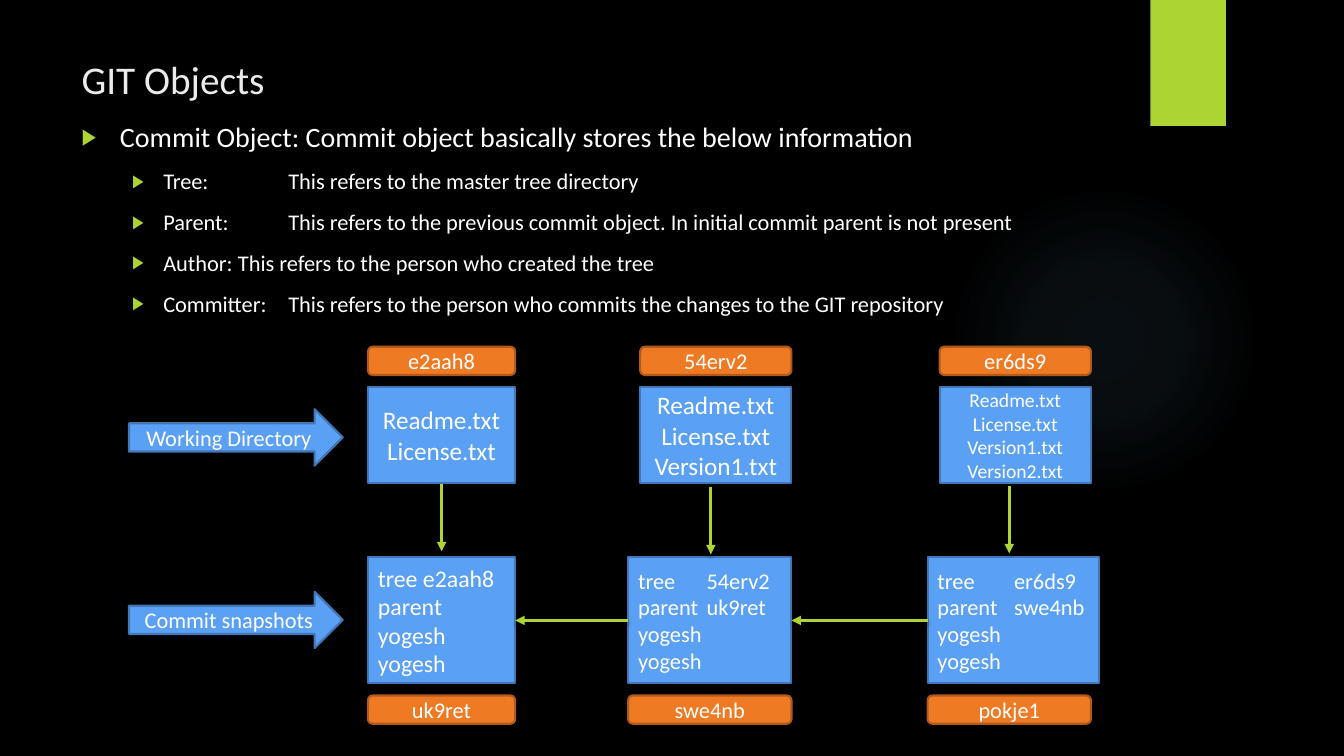
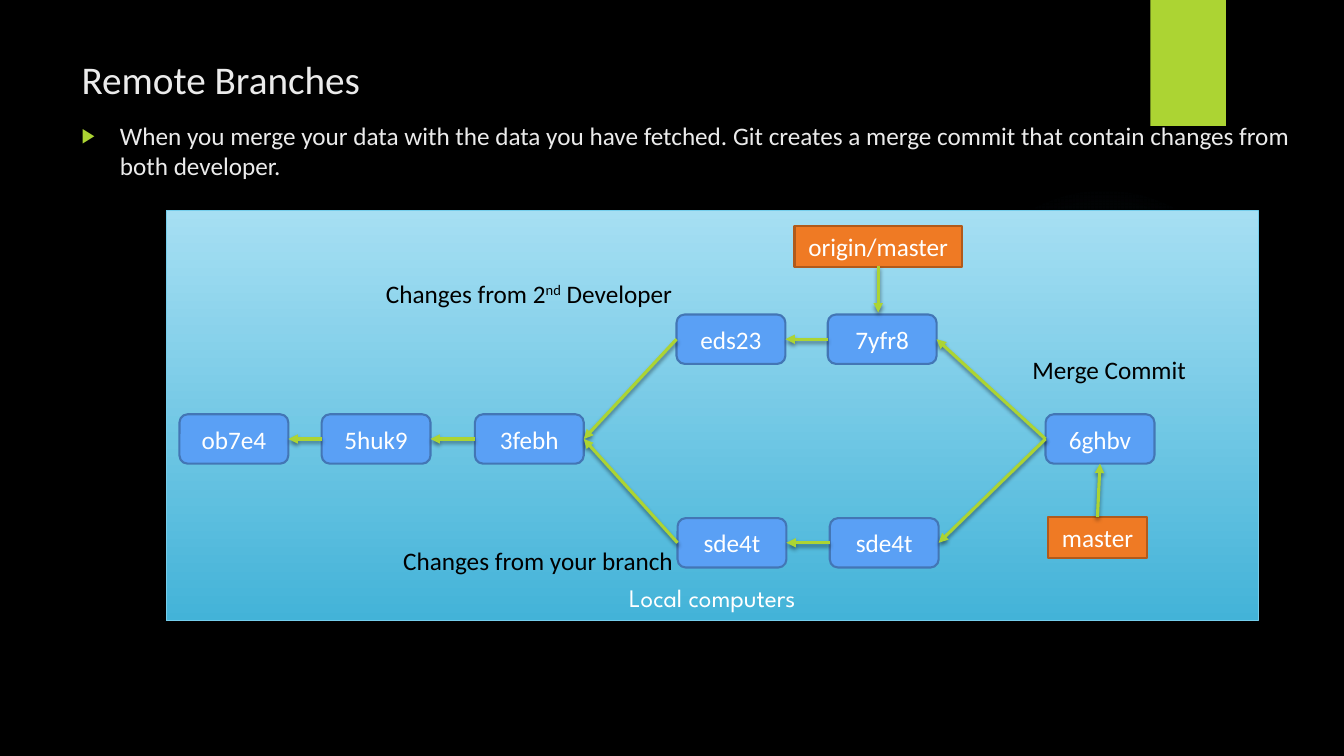
from dataclasses import dataclass
from typing import Optional

from lxml import etree
from pptx import Presentation
from pptx.dml.color import RGBColor
from pptx.enum.shapes import MSO_CONNECTOR, MSO_SHAPE as Preset
from pptx.enum.text import MSO_ANCHOR as Anchor, MSO_AUTO_SIZE as Fit, PP_ALIGN as Align
from pptx.oxml import parse_xml
from pptx.oxml.ns import nsdecls, qn
from pptx.util import Inches, Pt

COLORS = {
    "background": "000000", "accent": "ACD433", "glow": "7AC4F0",
    "blue": "5AA0F5", "blue_edge": "4376B5",
    "orange": "EF7A24", "orange_edge": "B15A1B",
    "panel_top": "A6DFF3", "panel_bottom": "43B3D8", "panel_edge": "75CEEC",
    "white": "FFFFFF", "soft_white": "EBEBEB", "black": "000000",
}
FONT = "Calibri"
LEFT_SITE, RIGHT_SITE, TOP_SITE, BOTTOM_SITE = 1, 3, 0, 2


@dataclass
class Block:
    text: str
    left: float
    top: float
    width: float
    height: float
    size: int = 16
    preset: Preset = Preset.RECTANGLE
    tone: str = "blue"
    align: Align = Align.CENTER
    tab: Optional[float] = None


@dataclass
class Stage:
    """One commit: its files, its tree hash and the snapshot that records it."""
    tree: str
    files: str
    files_size: int
    files_left: float
    files_width: float
    snapshot: str
    snapshot_size: int
    snapshot_left: float
    snapshot_width: float
    commit: str
    commit_width: float
    arrow_x: float
    arrow_top: float
    tab: Optional[float] = None


def rgb(name: str) -> RGBColor:
    return RGBColor.from_string(COLORS[name])


def apply(target, **values) -> None:
    for name, value in values.items():
        setattr(target, name, value)


def place(shape, left: float, top: float, width: float, height: float) -> None:
    apply(shape, left=Inches(left), top=Inches(top), width=Inches(width), height=Inches(height))


def add_run(paragraph, text: str, size: int, color: str, font: str = FONT):
    run = paragraph.add_run()
    run.text = text
    apply(run.font, name=font, size=Pt(size))
    run.font.color.rgb = rgb(color)
    return run


def write_lines(frame, text: str, size: int, color: str, align: Align = Align.LEFT,
                font: str = FONT) -> list:
    paragraphs = []
    for index, line in enumerate(text.split("\n")):
        paragraph = frame.add_paragraph() if index else frame.paragraphs[0]
        paragraph.alignment = align
        add_run(paragraph, line, size, color, font)
        paragraphs.append(paragraph)
    return paragraphs


def cast_shadow(shape) -> None:
    properties = shape.element.spPr
    effects = properties.find(qn("a:effectLst"))
    if effects is None:
        effects = etree.SubElement(properties, qn("a:effectLst"))
    shadow = etree.SubElement(effects, qn("a:outerShdw"), blurRad=str(Pt(3)),
                              dist=str(Pt(2)), dir="5400000", rotWithShape="0")
    shade = etree.SubElement(shadow, qn("a:srgbClr"), val=COLORS["black"])
    etree.SubElement(shade, qn("a:alpha"), val="45000")


def add_plain(slide, preset: Preset, left: float, top: float, width: float, height: float):
    shape = slide.shapes.add_shape(preset, *map(Inches, (left, top, width, height)))
    shape.shadow.inherit = False
    return shape


def draw_block(slide, block: Block):
    shape = add_plain(slide, block.preset, block.left, block.top, block.width, block.height)
    shape.fill.solid()
    shape.fill.fore_color.rgb = rgb(block.tone)
    shape.line.color.rgb = rgb(block.tone + "_edge")
    shape.line.width = Pt(1.5)
    apply(shape.text_frame, word_wrap=True, vertical_anchor=Anchor.MIDDLE)
    for paragraph in write_lines(shape.text_frame, block.text, block.size, "white", block.align):
        if block.tab:
            tabs = etree.SubElement(paragraph._p.get_or_add_pPr(), qn("a:tabLst"))
            etree.SubElement(tabs, qn("a:tab"), pos=str(Inches(block.tab)), algn="l")
    return shape


def draw_arrow(slide, start: tuple[float, float], end: tuple[float, float]):
    arrow = slide.shapes.add_connector(MSO_CONNECTOR.STRAIGHT, *map(Inches, start + end))
    arrow.line.color.rgb = rgb("accent")
    arrow.line.width = Pt(2.25)
    etree.SubElement(arrow.line._get_or_add_ln(), qn("a:tailEnd"), type="triangle")
    cast_shadow(arrow)
    return arrow


def link(slide, source, target, source_site: int = LEFT_SITE, target_site: int = RIGHT_SITE) -> None:
    arrow = draw_arrow(slide, (0, 0), (1, 1))
    arrow.begin_connect(source, source_site)
    arrow.end_connect(target, target_site)


def decorate_layout(slide, layout) -> None:
    """Move the glow and the corner band behind the layout's placeholders."""
    glow = add_plain(slide, Preset.OVAL, 9.41, 1.83, 3.08, 3.08)
    glow.line.fill.background()
    stops = "".join(
        f'<a:gs pos="{pos}000"><a:srgbClr val="{COLORS["glow"]}">'
        f'<a:alpha val="{alpha}000"/></a:srgbClr></a:gs>'
        for pos, alpha in ((0, 7), (36, 6), (69, 0)))
    glow.element.spPr.insert(2, parse_xml(
        f'<a:gradFill {nsdecls("a")} rotWithShape="1"><a:gsLst>{stops}</a:gsLst>'
        '<a:path path="circle"><a:fillToRect l="50000" t="50000" r="50000" b="50000"/>'
        '</a:path></a:gradFill>'))
    band = add_plain(slide, Preset.RECTANGLE, 11.41, 0, 0.75, 1.25)
    band.fill.solid()
    band.fill.fore_color.rgb = rgb("accent")
    band.line.fill.background()
    cast_shadow(band)
    for offset, part in enumerate((glow, band)):
        part.element.xpath(".//p:cNvPr")[0].set("id", str(50 + offset))
        layout.shapes.element.insert(2 + offset, part.element)


def add_topic(deck, title: str, bullets: list[tuple[int, int, str]], color: str,
              body_height: float):
    """Add a slide with its title and (level, size, text) bullets."""
    slide = deck.slides.add_slide(deck.slide_layouts[1])
    heading, body = slide.shapes.title, slide.placeholders[1]
    place(heading, 0.71, 0.5, 10.29, 0.65)
    place(body, 0.71, 1.14, 12.38, body_height)
    for holder in (heading, body):
        apply(holder.text_frame, word_wrap=True, auto_size=Fit.NONE, vertical_anchor=Anchor.TOP)
    write_lines(heading.text_frame, title, 28, "soft_white")
    for index, (level, size, text) in enumerate(bullets):
        item = body.text_frame.add_paragraph() if index else body.text_frame.paragraphs[0]
        apply(item, level=level, space_before=Pt(10), alignment=Align.LEFT)
        add_run(item, text, size, color)
        margin, indent = ((0.38, -0.38), (0.81, -0.31))[level]
        properties = item._p.get_or_add_pPr()
        properties.set("marL", str(Inches(margin)))
        properties.set("indent", str(Inches(indent)))
        bullet_color = etree.SubElement(properties, qn("a:buClr"))
        etree.SubElement(bullet_color, qn("a:srgbClr"), val=COLORS["accent"])
        etree.SubElement(properties, qn("a:buSzPct"), val="80000")
        etree.SubElement(properties, qn("a:buChar"), char="▶")
    return slide


def build_git_objects(deck):
    slide = add_topic(deck, "GIT Objects", [
        (0, 20, "Commit Object: Commit object basically stores the below information"),
        (1, 16, "Tree: \t\t This refers to the master tree directory"),
        (1, 16, "Parent:\t\t This refers to the previous commit object. "
                "In initial commit parent is not present"),
        (1, 16, "Author:\t This refers to the person who created the tree"),
        (1, 16, "Committer: \t This refers to the person who commits the changes "
                "to the GIT repository"),
    ], "white", 6.12)
    stages = [
        Stage("e2aah8", "Readme.txt\nLicense.txt", 18, 3.65, 1.46,
              "tree e2aah8\nparent\nyogesh\nyogesh", 17, 3.65, 1.46,
              "uk9ret", 1.46, 4.38, 4.8),
        Stage("54erv2", "Readme.txt\nLicense.txt\nVersion1.txt", 18, 6.35, 1.5,
              "tree\t54erv2\nparent\tuk9ret\nyogesh\nyogesh", 16, 6.23, 1.62,
              "swe4nb", 1.62, 7.05, 4.83, 0.68),
        Stage("er6ds9", "Readme.txt\nLicense.txt\nVersion1.txt\nVersion2.txt", 14, 9.32, 1.5,
              "tree\ter6ds9\nparent\tswe4nb\nyogesh\nyogesh", 16, 9.2, 1.7,
              "pokje1", 1.62, 10.01, 4.82, 0.76),
    ]
    # Commits, each pointing back to its parent
    parent = None
    for stage in stages:
        draw_block(slide, Block(stage.files, stage.files_left, 3.84, stage.files_width, 0.95,
                                stage.files_size))
        snapshot = draw_block(slide, Block(
            stage.snapshot, stage.snapshot_left, 5.53, stage.snapshot_width, 1.25,
            stage.snapshot_size, align=Align.LEFT, tab=stage.tab))
        for name, left, top, width in (
                (stage.tree, stage.files_left, 3.44, stage.files_width),
                (stage.commit, stage.snapshot_left, 6.9, stage.commit_width)):
            draw_block(slide, Block(name, left, top, width, 0.28,
                                    preset=Preset.ROUNDED_RECTANGLE, tone="orange"))
        draw_arrow(slide, (stage.arrow_x, stage.arrow_top),
                   (stage.arrow_x, stage.arrow_top + 0.67))
        if parent is not None:
            link(slide, snapshot, parent)
        parent = snapshot
    # Row labels
    for label, top in (("Working Directory", 4.06), ("Commit snapshots", 5.87)):
        draw_block(slide, Block(label, 1.28, top, 2.12, 0.56, preset=Preset.RIGHT_ARROW))
    return slide


def build_remote_branches(deck) -> None:
    slide = add_topic(deck, "Remote Branches", [
        (0, 18, "When you merge your data with the data you have fetched. Git creates a "
                "merge commit that contain changes from both developer."),
    ], "soft_white", 6.36)
    # Local computers panel
    panel = add_plain(slide, Preset.RECTANGLE, 1.65, 2.09, 10.83, 4.07)
    panel.fill.gradient()
    panel.fill.gradient_angle = 270
    for stop, color in zip(panel.fill.gradient_stops, ("panel_top", "panel_bottom")):
        stop.color.rgb = rgb(color)
    panel.line.color.rgb = rgb("panel_edge")
    panel.line.width = Pt(0.75)
    cast_shadow(panel)
    apply(panel.text_frame, vertical_anchor=Anchor.BOTTOM, margin_bottom=Inches(0.08))
    write_lines(panel.text_frame, "Local computers", 18, "white", Align.CENTER, "League Spartan")

    # Commits on the shared, fetched and own branches
    commits = [
        draw_block(slide, Block(name, left, top, 1.08, 0.49, 18, Preset.ROUNDED_RECTANGLE))
        for name, left, top in (
            ("ob7e4", 1.78, 4.11), ("5huk9", 3.19, 4.11), ("3febh", 4.71, 4.11),
            ("eds23", 6.71, 3.12), ("7yfr8", 8.21, 3.12),
            ("sde4t", 6.72, 5.14), ("sde4t", 8.23, 5.14), ("6ghbv", 10.37, 4.11))]
    first, second, base, fetched, fetched_tip, own, own_tip, merge = commits
    for child, ancestor in ((second, first), (base, second), (fetched, base),
                            (fetched_tip, fetched), (own, base), (own_tip, own),
                            (merge, fetched_tip), (merge, own_tip)):
        link(slide, child, ancestor)

    # Branch pointers
    draw_block(slide, Block("origin/master", 7.88, 2.24, 1.66, 0.41, 18, tone="orange"))
    draw_arrow(slide, (8.71, 2.64), (8.71, 3.1))
    master = draw_block(slide, Block("master", 10.39, 5.13, 0.99, 0.41, 18, tone="orange"))
    link(slide, master, merge, TOP_SITE, BOTTOM_SITE)

    # Captions as (text, is superscript) parts
    for parts, left, top, width in (
            ([("Changes from 2", False), ("nd", True), (" Developer", False)], 3.73, 2.71, 3.1),
            ([("Changes from your branch", False)], 3.9, 5.36, 2.91),
            ([("Merge Commit", False)], 10.14, 3.47, 1.74)):
        caption = slide.shapes.add_textbox(*map(Inches, (left, top, width, 0.4)))
        apply(caption.text_frame, word_wrap=False, auto_size=Fit.SHAPE_TO_FIT_TEXT)
        for text, raised in parts:
            run = add_run(caption.text_frame.paragraphs[0], text, 18, "black")
            if raised:
                run._r.get_or_add_rPr().set("baseline", "30000")


deck = Presentation()
apply(deck, slide_width=Inches(13.33), slide_height=Inches(7.5))
backdrop = deck.slide_master.background.fill
backdrop.solid()
backdrop.fore_color.rgb = rgb("background")
git_objects = build_git_objects(deck)
decorate_layout(git_objects, deck.slide_layouts[1])
build_remote_branches(deck)
deck.save("out.pptx")
